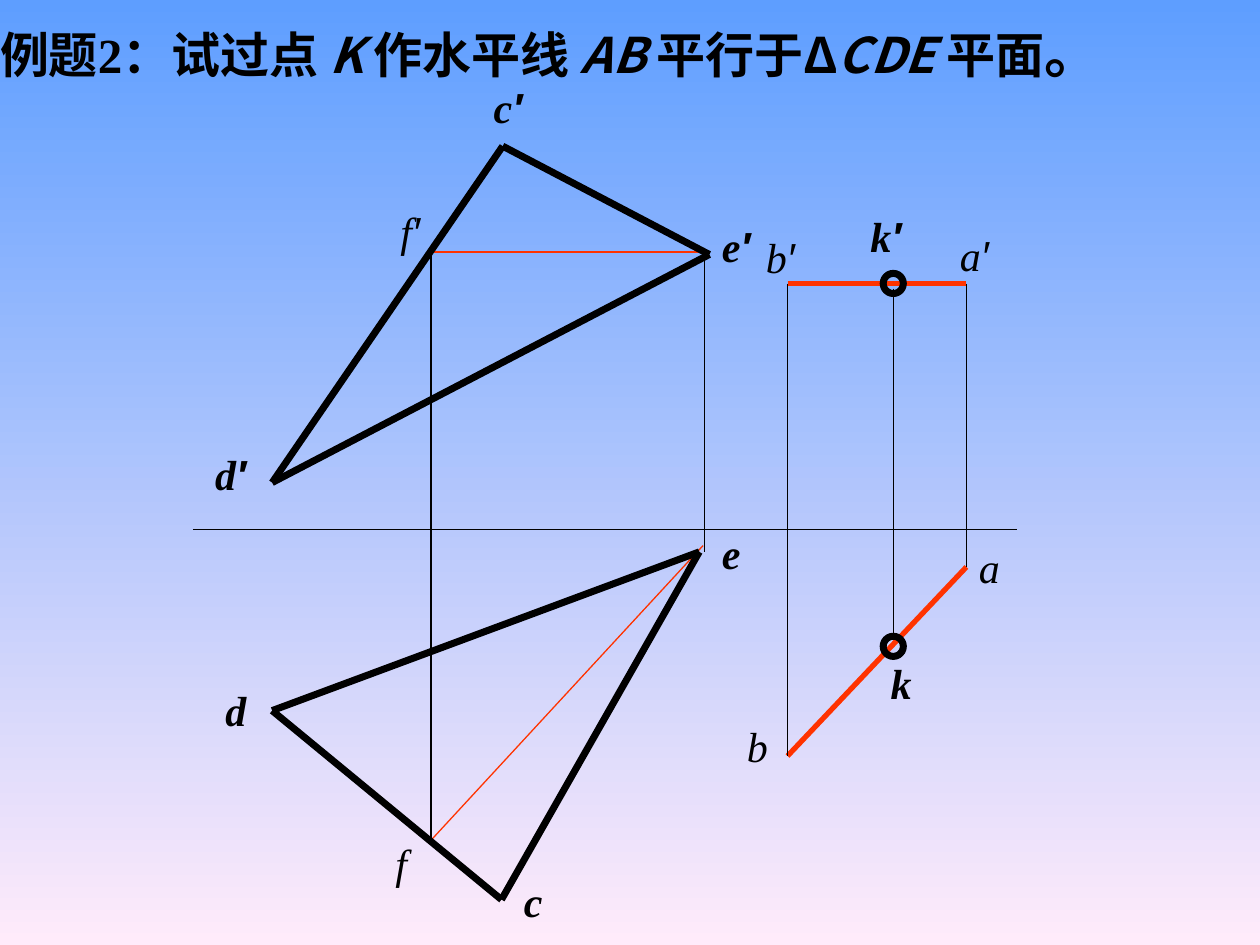
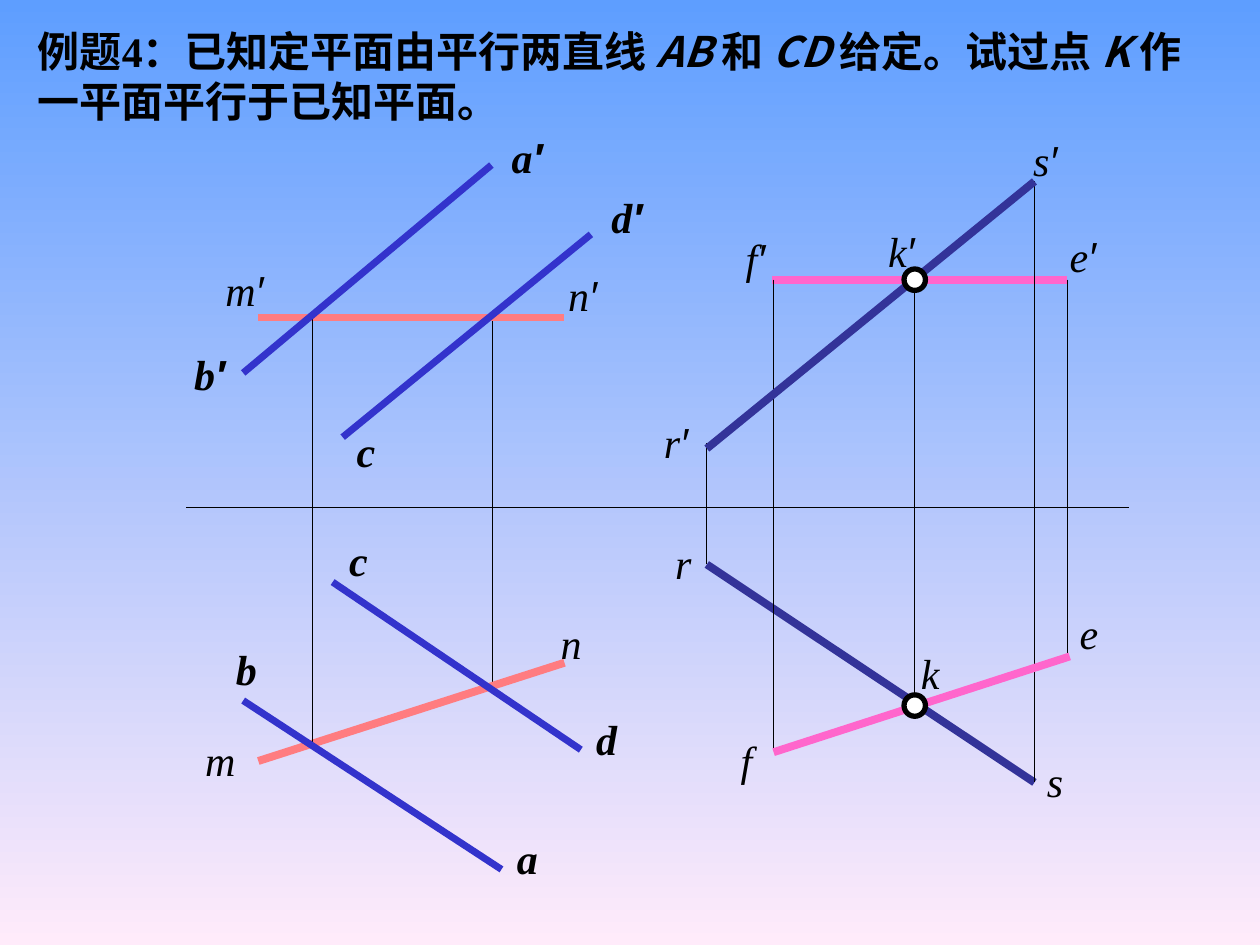
from lxml.etree import SubElement
from pptx import Presentation
from pptx.dml.color import RGBColor
from pptx.enum.shapes import MSO_CONNECTOR as CONNECTOR, MSO_SHAPE as SHAPE
from pptx.enum.text import MSO_ANCHOR as ANCHOR, MSO_AUTO_SIZE as AUTO_SIZE, PP_ALIGN as ALIGN
from pptx.oxml.ns import qn
from pptx.util import Inches, Pt

SKY = RGBColor(0x5E, 0x9E, 0xFF)
BLUSH = RGBColor(0xFF, 0xEB, 0xFA)
BLACK = RGBColor(0, 0, 0)
WHITE = RGBColor(255, 255, 255)
RED = RGBColor(0xFF, 0x33, 0)
BLUE = RGBColor(0x33, 0x33, 0xCC)
NAVY = RGBColor(0x33, 0x33, 0x99)
SALMON = RGBColor(0xFF, 0x7C, 0x80)
PINK = RGBColor(0xFF, 0x66, 0xCC)

COLUMNS, ROWS = 10, 7.5
CELL = Inches(1)
LABEL_HEIGHT = 0.5
THIN = 0.75
HEADING_FONT, NUMBER_FONT = "Noto Sans CJK SC", "Times New Roman"
LABEL_FONT, PRIME_FONT = "Times New Roman", "Arial"
PRIME = "′"


def cells(*counts):
    return [round(count * CELL) for count in counts]


def paint_background(deck):
    fill = deck.slide_master.background.fill
    fill.gradient()
    fill.gradient_angle = 270
    for stop, color in zip(fill.gradient_stops, (SKY, BLUSH)):
        stop.color.rgb = color


def style_paragraph(para, font_name, size, bold, italic):
    font = para.font
    font.name, font.size = font_name, Pt(size)
    font.bold, font.italic = bold, italic
    font.color.rgb = BLACK


def add_heading(page, number, phrases, place, size, inset=0.1):
    title = page.shapes.title
    title.left, title.top, title.width, title.height = cells(*place)
    frame = title.text_frame
    frame.word_wrap, frame.auto_size = True, AUTO_SIZE.NONE
    frame.vertical_anchor = ANCHOR.TOP
    frame.margin_left = Inches(inset)
    para = frame.paragraphs[0]
    para.alignment = ALIGN.LEFT
    style_paragraph(para, HEADING_FONT, size, True, False)
    for position, text in enumerate(["例题", number, *phrases]):
        span = para.add_run()
        span.text = text
        span.font.name = NUMBER_FONT if text == number else HEADING_FONT
        span.font.italic = position > 1 and position % 2 == 1
        SubElement(span._r.get_or_add_rPr(), qn("a:ea"), typeface=HEADING_FONT)
    return para


def add_line(page, start, end, color=BLACK, weight=THIN):
    line = page.shapes.add_connector(CONNECTOR.STRAIGHT, *cells(*start, *end))
    line.line.color.rgb = color
    line.line.width = Pt(weight)
    SubElement(line._element.spPr, qn("a:effectLst"))


def add_vertical(page, column, top, bottom, weight=THIN):
    add_line(page, (column, top), (column, bottom), weight=weight)


def add_triangle(page, corners):
    for start, end in zip(corners, corners[1:] + corners[:1]):
        add_line(page, start, end, BLACK, 4)


def add_point(page, center, size, weight, fill=None):
    column, row = center
    ring = page.shapes.add_shape(
        SHAPE.OVAL, *cells(column - size / 2, row - size / 2, size, size))
    ring.shadow.inherit = False
    if fill is None:
        ring.fill.background()
    else:
        ring.fill.solid()
        ring.fill.fore_color.rgb = fill
    ring.line.color.rgb = BLACK
    ring.line.width = Pt(weight)


def add_label(page, text, left, top, width, bold=False, centered=False):
    box = page.shapes.add_textbox(*cells(left, top, width, LABEL_HEIGHT))
    frame = box.text_frame
    frame.word_wrap = True
    para = frame.paragraphs[0]
    if centered:
        frame.vertical_anchor = ANCHOR.MIDDLE
        para.alignment = ALIGN.CENTER
    style_paragraph(para, LABEL_FONT, 24, bold, True)
    para.add_run().text = text.rstrip(PRIME)
    if text.endswith(PRIME):
        span = para.add_run()
        span.text, span.font.name = PRIME, PRIME_FONT


def build_parallel_line_page(page):
    para = add_heading(
        page, "2",
        ["：试过点 ", "K ", "作水平线 ", "AB ", "平行于Δ", "CDE ", "平面"],
        (0, 0.09, COLUMNS, 0.75), 28, inset=0)
    stop = para.add_run()
    stop.text = "。"
    stop.font.name, stop.font.size = "Arial", Pt(32)
    SubElement(stop._r.get_or_add_rPr(), qn("a:ea"), typeface=HEADING_FONT)

    add_line(page, (6.25, 6), (7.67, 4.5), RED, 3)
    add_line(page, (6.25, 2.25), (7.67, 2.25), RED, 3)
    add_line(page, (3.42, 6.67), (5.58, 4.33), RED)
    add_line(page, (5.58, 2), (3.42, 2), RED)
    add_triangle(page, [(3.99, 1.16), (5.63, 2.02), (2.16, 3.83)])
    add_triangle(page, [(2.16, 5.64), (5.55, 4.38), (3.98, 7.14)])

    add_line(page, (1.53, 4.2), (8.07, 4.2))
    for column, top, bottom in [(3.42, 2, 6.67), (5.59, 2.02, 4.38),
                                (6.25, 2.25, 6), (7.09, 2.29, 5.05)]:
        add_vertical(page, column, top, bottom)
    add_vertical(page, 7.67, 2.25, 4.5, weight=1)
    for row in (2.25, 5.13):
        add_point(page, (7.09, row), 0.16, 4)

    for text, left, top in [
            ("c′", 3.82, 0.6), ("d′", 1.61, 3.51), ("e′", 5.63, 1.7),
            ("c", 4.06, 6.9), ("d", 1.69, 5.38), ("e", 5.63, 4.14),
            ("k′", 6.81, 1.62), ("k", 6.97, 5.17)]:
        add_label(page, text, left, top, 0.79, bold=True)
    for text, left, top, width in [
            ("b′", 5.98, 1.79, 0.75), ("a′", 7.52, 1.77, 1.17),
            ("f′", 3.08, 1.58, 0.92), ("a", 7.67, 4.25, 0.47),
            ("f", 3.04, 6.6, 0.47), ("b", 5.83, 5.67, 0.46)]:
        add_label(page, text, left, top, width)


def build_parallel_plane_page(page):
    add_heading(
        page, "4",
        ["：已知定平面由平行两直线 ", "AB ", "和 ", "CD ", "给定。试过点 ",
         "K ", "作一平面平行于已知平面。"],
        (0.2, 0.15, 9.29, 1), 24)

    add_vertical(page, 3.91, 2.52, 5.47)
    add_line(page, (5.61, 4.48), (8.21, 6.21), NAVY, 4.5)
    add_line(page, (2.05, 2.52), (4.48, 2.52), SALMON, 4.5)
    add_line(page, (2.05, 6.04), (4.48, 5.26), SALMON, 4.5)
    add_line(page, (8.47, 2.22), (6.13, 2.22), PINK, 4.5)
    for column, top, bottom in [(2.48, 2.52, 5.91), (5.61, 3.52, 4.48),
                                (6.14, 2.22, 5.95), (8.21, 1.44, 6.21),
                                (8.47, 2.22, 5.21)]:
        add_vertical(page, column, top, bottom)
    add_line(page, (8.21, 1.44), (5.61, 3.56), NAVY, 4.5)
    add_line(page, (6.14, 5.97), (8.49, 5.21), PINK, 4.5)
    add_vertical(page, 7.26, 2.22, 5.6)
    for row in (2.22, 5.6):
        add_point(page, (7.26, row), 0.17, 3, WHITE)
    for start, end in [((3.9, 1.31), (1.93, 2.96)), ((4.69, 1.86), (2.72, 3.47)),
                       ((2.64, 4.62), (4.61, 5.95)), ((3.98, 6.9), (1.93, 5.56))]:
        add_line(page, start, end, BLUE, 4)
    add_line(page, (8.96, 4.03), (1.48, 4.03))

    for text, left, top in [
            ("d′", 4.69, 1.47), ("a′", 3.9, 0.99), ("c", 2.62, 3.33),
            ("b′", 1.38, 2.72), ("c", 2.56, 4.19), ("b", 1.67, 5.06),
            ("a", 3.9, 6.56), ("d", 4.53, 5.61)]:
        add_label(page, text, left, top, 0.57, bold=True, centered=True)
    for text, left, top, width in [
            ("m′", 1.69, 2.05, 0.69), ("n′", 4.41, 2.09, 0.69),
            ("m", 1.53, 5.78, 0.69), ("n", 4.35, 4.85, 0.69),
            ("f′", 5.82, 1.8, 0.94), ("e′", 8.39, 1.78, 0.66),
            ("f", 5.78, 5.78, 0.46), ("e", 8.47, 4.77, 0.46),
            ("r′", 5.17, 3.26, 0.69), ("s′", 8.1, 1.02, 0.69),
            ("r", 5.26, 4.22, 0.69), ("s", 8.21, 5.95, 0.69),
            ("k′", 6.95, 1.74, 0.7), ("k", 7.21, 5.09, 0.7)]:
        add_label(page, text, left, top, width)


def main():
    deck = Presentation()
    deck.slide_width, deck.slide_height = cells(COLUMNS, ROWS)
    paint_background(deck)
    title_only = deck.slide_layouts[5]
    for build in (build_parallel_line_page, build_parallel_plane_page):
        build(deck.slides.add_slide(title_only))
    deck.save("out.pptx")


if __name__ == "__main__":
    main()
